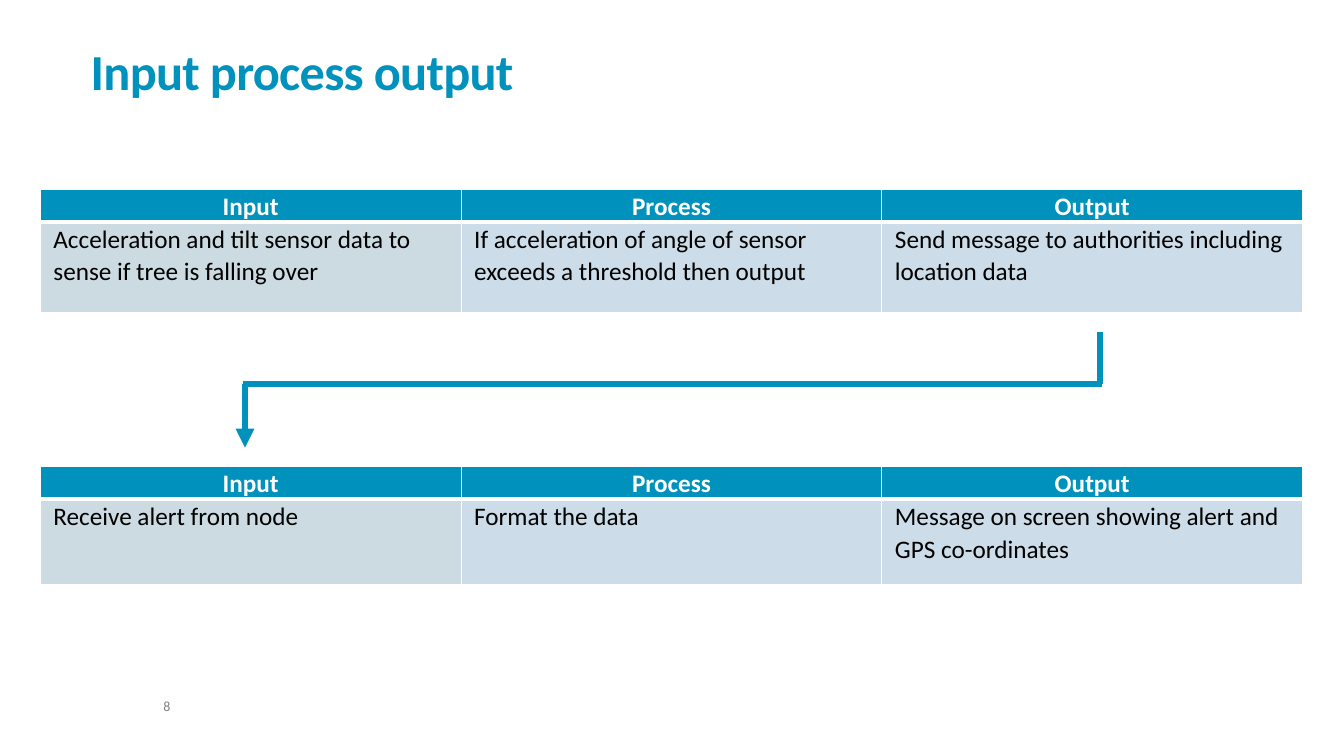
from lxml.etree import SubElement
from pptx import Presentation
from pptx.dml.color import RGBColor
from pptx.enum.shapes import MSO_CONNECTOR as Connector
from pptx.enum.text import MSO_ANCHOR as Anchor, PP_ALIGN as Align
from pptx.oxml import parse_xml
from pptx.oxml.ns import nsdecls, qn
from pptx.util import Pt

PX = 9144
COLORS = {"teal": "0091BD", "white": "FFFFFF", "black": "000000",
          "gray": "7F7F7F", "first": "CCDBE2", "other": "CCDCE8"}
MARGINS = ("margin_left", "margin_top", "margin_right", "margin_bottom")
HEADINGS = ("Input", "Process", "Output")
NODE_STEPS = ("Acceleration and tilt sensor data to sense if tree is falling over",
              "If acceleration of angle of sensor exceeds a threshold then output",
              "Send message to authorities including location data")
SCREEN_STEPS = ("Receive alert from node", "Format the data",
                "Message on screen showing alert and GPS co-ordinates")


def px(*lengths):
    return [length * PX for length in lengths]


def rgb(name):
    return RGBColor.from_string(COLORS[name])


def set_all(target, values):
    for name, value in values.items():
        setattr(target, name, value)


def write(frame, text, color, font, para_format):
    para = frame.paragraphs[0]
    set_all(para, para_format)
    span = para.add_run()
    span.text = text
    set_all(span.font, {"name": "Calibri", **font})
    span.font.color.rgb = rgb(color)
    return span


def add_title(page, text):
    title = page.shapes.title
    set_all(title, dict(zip(("left", "top", "width", "height"), px(90, 39, 1108, 61))))
    frame = title.text_frame
    set_all(frame, {**dict.fromkeys(MARGINS, 0),
                    "vertical_anchor": Anchor.BOTTOM, "word_wrap": True})
    span = write(frame, text, "teal", {"size": Pt(36), "bold": True},
                 {"line_spacing": 0.85, "alignment": Align.LEFT})
    span.font._element.set("spc", "-50")


def add_page_number(page, number):
    box = page.shapes.add_textbox(*px(162, 694, 119, 15))
    frame = box.text_frame
    set_all(frame, {**dict.fromkeys(MARGINS, 0), "word_wrap": True})
    write(frame, number, "gray", {"size": Pt(10)},
          {"line_spacing": 0.9, "space_after": Pt(6)})


def add_borders(cell, bottom):
    properties = cell._tc.get_or_add_tcPr()
    widths = {"lnL": 1, "lnR": 1, "lnT": 1, "lnB": bottom}
    for index, (side, width) in enumerate(widths.items()):
        properties.insert(index, parse_xml(
            f'<a:{side} {nsdecls("a")} w="{Pt(width)}"><a:solidFill>'
            f'<a:srgbClr val="{COLORS["white"]}"/></a:solidFill></a:{side}>'))


def fill_cell(cell, text, fill, is_heading):
    set_all(cell, dict(zip(MARGINS, px(13, 0, 13, 0))))
    cell.fill.solid()
    cell.fill.fore_color.rgb = rgb(fill)
    write(cell.text_frame, text, "white" if is_heading else "black",
          {"size": Pt(18), "bold": is_heading},
          {"line_spacing": 1.07,
           "alignment": Align.CENTER if is_heading else Align.LEFT})
    add_borders(cell, 3 if is_heading else 1)


def add_steps_table(page, top, body_height, steps):
    heights = (31, body_height)
    frame = page.shapes.add_table(2, 3, *px(40, top, 1252, sum(heights)))
    table = frame.table
    for row, height in zip(table.rows, heights):
        row.height = height * PX
    for column in range(3):
        fill_cell(table.cell(0, column), HEADINGS[column], "teal", True)
        fill_cell(table.cell(1, column), steps[column],
                  "other" if column else "first", False)


def add_line(page, *ends, arrow=False):
    line = page.shapes.add_connector(Connector.STRAIGHT, *px(*ends))
    line.line.color.rgb = rgb("teal")
    line.line.width = Pt(4.5)
    if arrow:
        SubElement(line.line._get_or_add_ln(), qn("a:tailEnd"), type="triangle")
    SubElement(line._element.spPr, qn("a:effectLst"))


def main():
    deck = Presentation()
    deck.slide_width, deck.slide_height = px(1333, 750)
    page = deck.slides.add_slide(deck.slide_layouts[5])
    add_page_number(page, "8")
    add_title(page, "Input process output")
    add_steps_table(page, 188, 90, NODE_STEPS)
    add_steps_table(page, 463, 85, SCREEN_STEPS)
    add_line(page, 1091, 329, 1091, 381)
    add_line(page, 1093, 381, 241, 381)
    add_line(page, 243, 381, 243, 444, arrow=True)
    deck.save("out.pptx")


if __name__ == "__main__":
    main()
